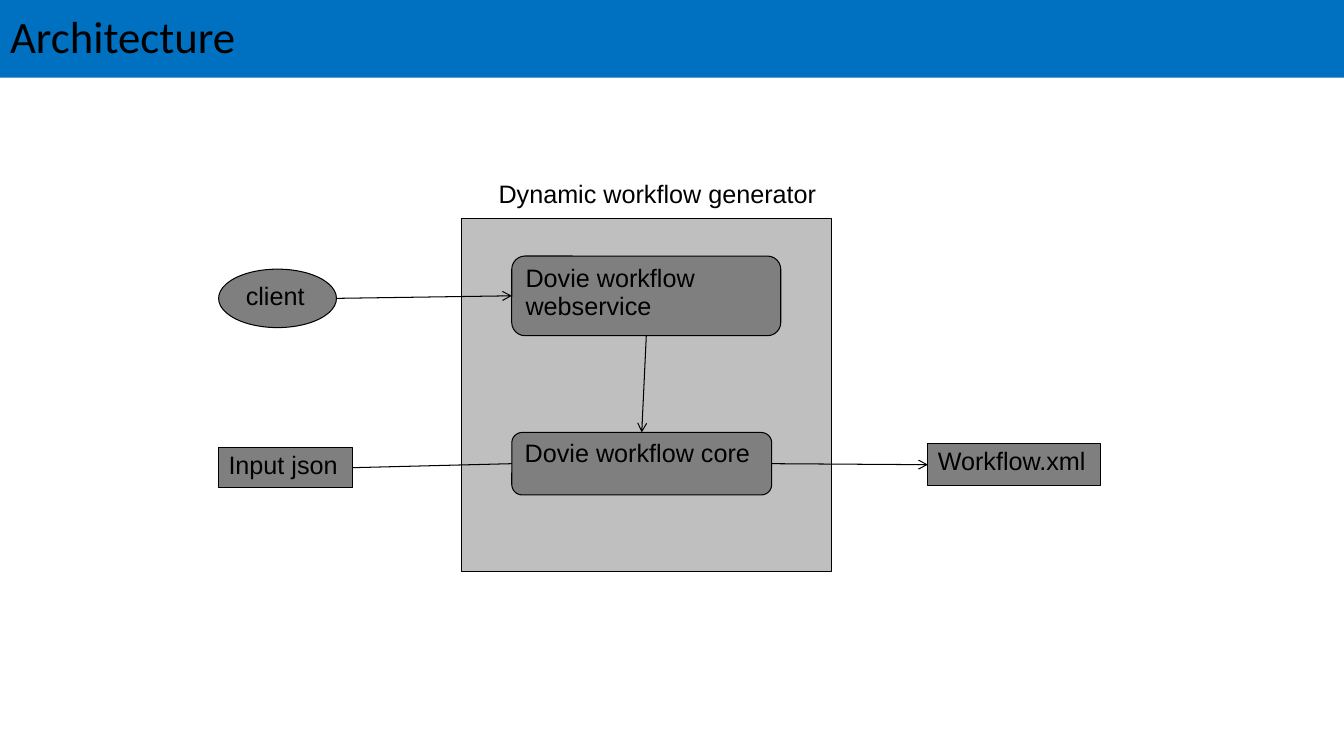
from dataclasses import dataclass

from lxml import etree
from pptx import Presentation
from pptx.dml.color import RGBColor
from pptx.enum import shapes, text
from pptx.oxml import ns
from pptx.util import Inches, Pt


@dataclass(frozen=True)
class Theme:
    banner: RGBColor = RGBColor(0x00, 0x70, 0xC0)
    container: RGBColor = RGBColor(0xBF, 0xBF, 0xBF)
    node: RGBColor = RGBColor(0x7F, 0x7F, 0x7F)
    ink: RGBColor = RGBColor(0, 0, 0)
    title_font: str = "Calibri"
    body_font: str = "Arial"
    title_size: int = 32
    body_size: int = 18
    line_width: float = 0.75


THEME = Theme()
KIND = shapes.MSO_SHAPE
TOP, LEFT, BOTTOM, RIGHT = range(4)

TITLE = ("Architecture", (0, 0, 13.34, 0.77))
GENERATOR = ("Dynamic workflow generator", (4.85, 1.75, 3.5, 0.38))
CONTAINER = (4.58, 2.17, 3.67, 3.5)
NODES = {
    "core": ("Dovie workflow core", KIND.ROUNDED_RECTANGLE, (5.08, 4.29, 2.58, 0.62)),
    "input": ("Input json", KIND.RECTANGLE, (2.17, 4.44, 1.33, 0.4)),
    "output": ("Workflow.xml", KIND.RECTANGLE, (9.21, 4.4, 1.71, 0.42)),
    "service": ("Dovie workflow webservice", KIND.ROUNDED_RECTANGLE, (5.08, 2.54, 2.67, 0.79)),
    "client": ("client", KIND.OVAL, (2.17, 2.67, 1.17, 0.58)),
}
# start node, start side, end node, end side, arrowhead at the end
LINKS = [
    ("client", RIGHT, "service", LEFT, True),
    ("service", BOTTOM, "core", TOP, True),
    ("core", RIGHT, "output", LEFT, True),
    ("input", RIGHT, "core", LEFT, False),
]


def inches(box):
    return [Inches(length) for length in box]


def write(shape, words, font=THEME.body_font, size=THEME.body_size, spacing=0.93,
          anchor=text.MSO_ANCHOR.TOP):
    frame = shape.text_frame
    frame.text = words
    frame.word_wrap = True
    frame.auto_size = text.MSO_AUTO_SIZE.NONE
    frame.vertical_anchor = anchor
    paragraph = frame.paragraphs[0]
    paragraph.alignment = text.PP_ALIGN.LEFT
    paragraph.line_spacing = spacing
    run_font = paragraph.runs[0].font
    run_font.name, run_font.size = font, Pt(size)
    run_font.color.rgb = THEME.ink


def paint(shape, color):
    shape.fill.solid()
    shape.fill.fore_color.rgb = color


def add_box(slide, kind, box, color):
    shape = slide.shapes.add_shape(kind, *inches(box))
    shape.shadow.inherit = False
    paint(shape, color)
    shape.line.color.rgb = THEME.ink
    shape.line.width = Pt(THEME.line_width)
    return shape


def side_middle(shape, side):
    center_x = shape.left + shape.width // 2
    center_y = shape.top + shape.height // 2
    return {
        TOP: (center_x, shape.top),
        LEFT: (shape.left, center_y),
        BOTTOM: (center_x, shape.top + shape.height),
        RIGHT: (shape.left + shape.width, center_y),
    }[side]


def add_link(slide, start, start_side, end, end_side, arrow):
    link = slide.shapes.add_connector(
        shapes.MSO_CONNECTOR.STRAIGHT,
        *side_middle(start, start_side), *side_middle(end, end_side))
    # An oval numbers its connection sites differently, so it stays unjoined.
    if start.auto_shape_type != KIND.OVAL:
        link.begin_connect(start, start_side)
    link.end_connect(end, end_side)
    link.line.color.rgb = THEME.ink
    link.line.width = Pt(THEME.line_width)
    if arrow:
        etree.SubElement(link.line._get_or_add_ln(), ns.qn("a:tailEnd"), type="arrow")
    etree.SubElement(link._element.spPr, ns.qn("a:effectLst"))


def add_title(slide):
    words, box = TITLE
    title = slide.shapes.title
    title.left, title.top, title.width, title.height = inches(box)
    paint(title, THEME.banner)
    write(title, words, THEME.title_font, THEME.title_size, 0.9, text.MSO_ANCHOR.MIDDLE)


def add_generator_label(slide):
    words, box = GENERATOR
    write(slide.shapes.add_textbox(*inches(box)), words)


def main():
    presentation = Presentation()
    presentation.slide_width, presentation.slide_height = Inches(13.34), Inches(7.5)
    slide = presentation.slides.add_slide(presentation.slide_layouts[5])
    add_title(slide)
    add_box(slide, KIND.RECTANGLE, CONTAINER, THEME.container)
    nodes = {}
    for name, (words, kind, box) in NODES.items():
        nodes[name] = add_box(slide, kind, box, THEME.node)
        write(nodes[name], words)
    for start, start_side, end, end_side, arrow in LINKS:
        add_link(slide, nodes[start], start_side, nodes[end], end_side, arrow)
    add_generator_label(slide)
    presentation.save("out.pptx")


if __name__ == "__main__":
    main()
